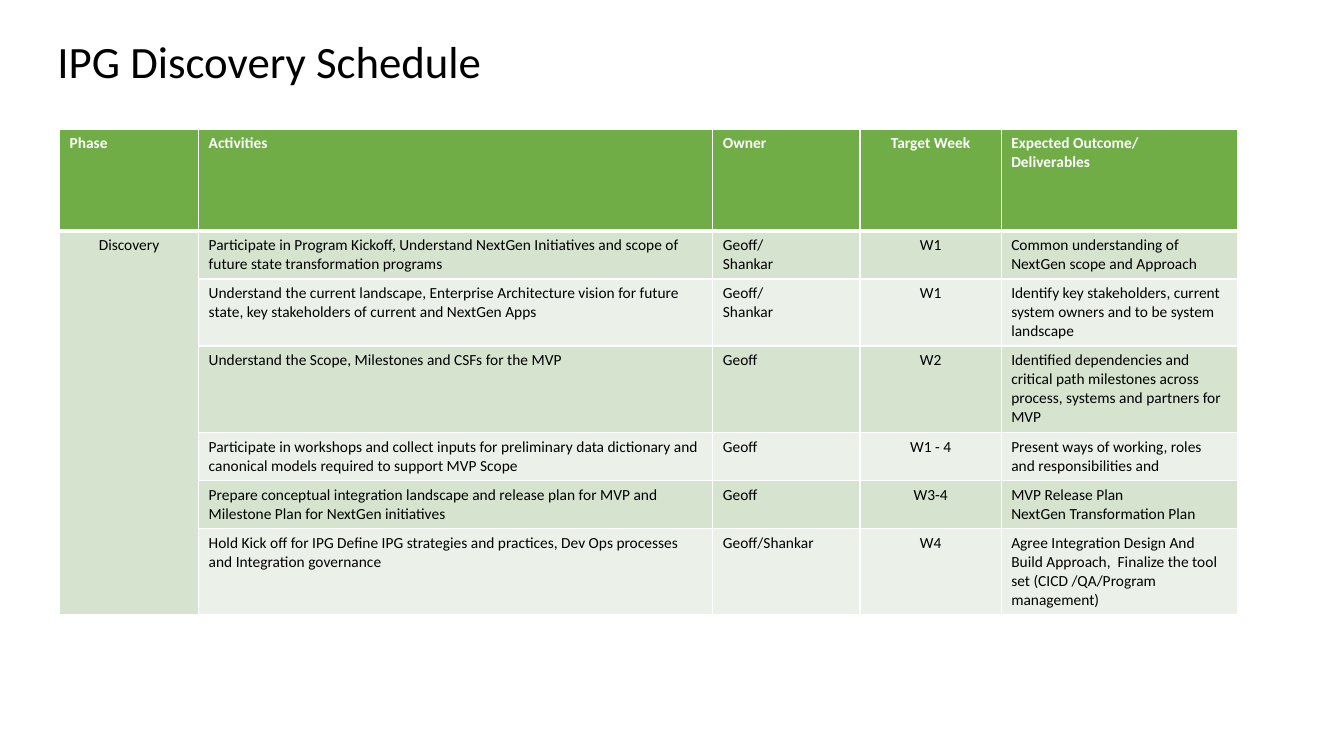
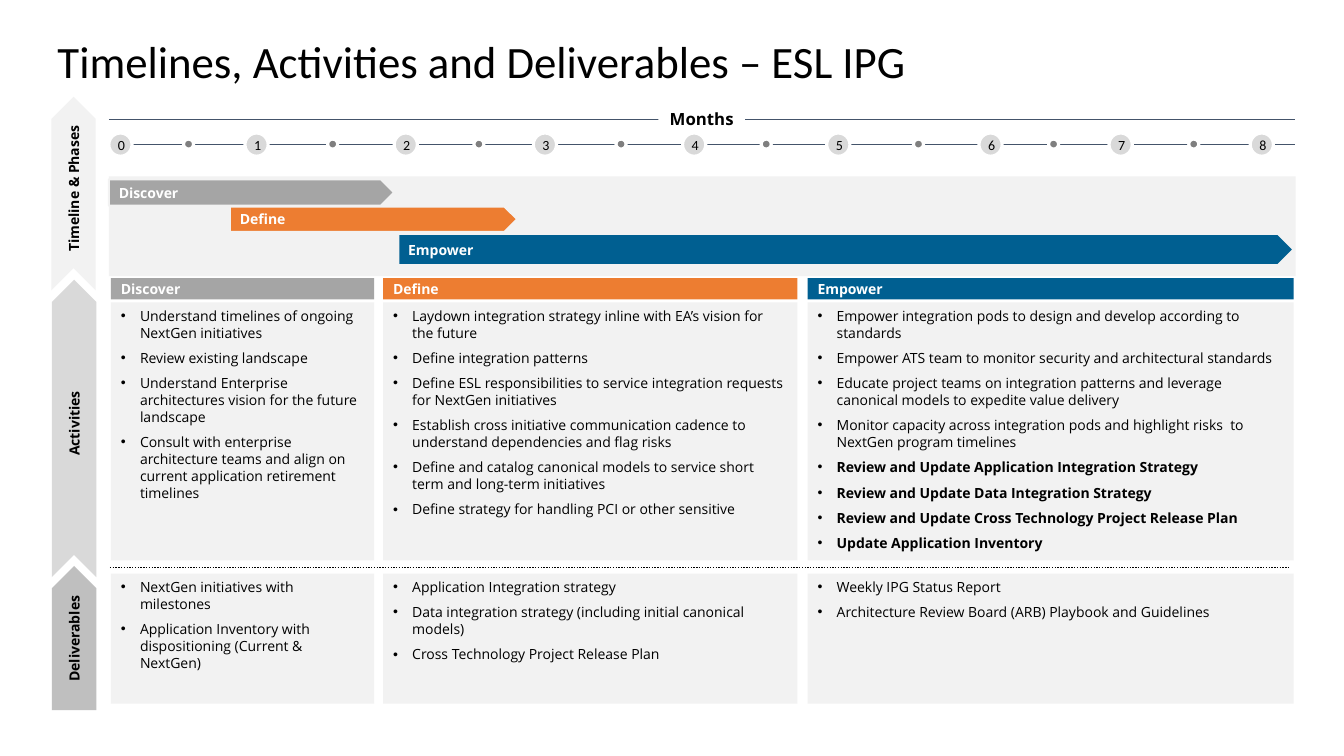
from dataclasses import dataclass

import pptx
import pptx.dml.color
import pptx.enum.dml
import pptx.enum.shapes
import pptx.enum.text
import pptx.oxml
import pptx.oxml.ns
import pptx.util
from lxml import etree
from pptx.util import Inches

SHAPE = pptx.enum.shapes.MSO_SHAPE
ALIGN = pptx.enum.text.PP_ALIGN
ANCHOR = pptx.enum.text.MSO_ANCHOR
color = pptx.dml.color.RGBColor.from_string
qn = pptx.oxml.ns.qn


@dataclass(frozen=True)
class Theme:
    title_font: str = "Calibri"
    body_font: str = "Open Sans"
    title_size: float = 32
    table_size: float = 11
    label_size: float = 10
    axis_size: float = 12
    black: str = "000000"
    white: str = "FFFFFF"
    green: str = "70AD47"
    bands: tuple = ("D5E3CF", "EBF1E9")
    panel: str = "F2F2F2"
    light_gray: str = "D9D9D9"
    mid_gray: str = "BFBFBF"
    dot_gray: str = "7F7F7F"
    axis: str = "44546A"
    discover: str = "A5A5A5"
    define: str = "ED7D31"
    empower: str = "005F91"


class Deck:
    """Holds the theme, the presentation and the slide being built."""

    def __init__(self, theme):
        self.theme = theme
        self.presentation = pptx.Presentation()
        self.presentation.slide_width = Inches(13.33)
        self.presentation.slide_height = Inches(7.5)
        self.slide = None

    def set_font(self, paragraph, size, fill, bold=False, name=None):
        font = paragraph.font
        font.name = name or self.theme.body_font
        font.size = pptx.util.Pt(size)
        font.bold = bold
        font.color.rgb = color(fill)

    def add_slide(self, title):
        layout = self.presentation.slide_layouts[5]
        self.slide = self.presentation.slides.add_slide(layout)
        shape = self.slide.shapes.title
        shape.left, shape.top = Inches(0.47), Inches(-0.09)
        shape.width, shape.height = Inches(12.04), Inches(1.45)
        frame = shape.text_frame
        frame.text = title
        frame.auto_size = pptx.enum.text.MSO_AUTO_SIZE.NONE
        frame.vertical_anchor = ANCHOR.MIDDLE
        paragraph = frame.paragraphs[0]
        paragraph.alignment = ALIGN.LEFT
        paragraph.line_spacing = 0.9
        self.set_font(paragraph, self.theme.title_size, self.theme.black,
                      name=self.theme.title_font)

    def shape(self, kind, left, top, width, height, fill, line=None, line_width=1.5):
        shape = self.slide.shapes.add_shape(
            kind, Inches(left), Inches(top), Inches(width), Inches(height))
        shape.shadow.inherit = False
        shape.fill.solid()
        shape.fill.fore_color.rgb = color(fill)
        if line:
            shape.line.color.rgb = color(line)
            shape.line.width = pptx.util.Pt(line_width)
        else:
            shape.line.fill.background()
        return shape

    def label(self, shape, text, fill, align=ALIGN.LEFT, size=None, bold=True,
              name=None, inset=0.1):
        """Put one centred-height line of text inside a shape."""
        frame = shape.text_frame
        frame.text = text
        frame.vertical_anchor = ANCHOR.MIDDLE
        frame.margin_left = Inches(inset)
        frame.margin_top = frame.margin_right = frame.margin_bottom = 0
        paragraph = frame.paragraphs[0]
        paragraph.alignment = align
        self.set_font(paragraph, size or self.theme.label_size, fill, bold, name)

    def bullet_panel(self, left, top, width, height, items, bold_items=()):
        frame = self.shape(SHAPE.RECTANGLE, left, top, width, height,
                           self.theme.panel).text_frame
        frame.vertical_anchor = ANCHOR.TOP
        frame.text = "\n".join([*items, *bold_items])
        for index, paragraph in enumerate(frame.paragraphs):
            paragraph.alignment = ALIGN.LEFT
            paragraph.space_after = pptx.util.Pt(6)
            properties = paragraph._p.get_or_add_pPr()
            properties.set("marL", str(Inches(0.19)))
            properties.set("indent", str(Inches(-0.19)))
            etree.SubElement(properties, qn("a:buFont"), typeface="Arial")
            etree.SubElement(properties, qn("a:buChar"), char="•")
            self.set_font(paragraph, self.theme.label_size, self.theme.black,
                          bold=index >= len(items))

    def rule(self, left, right, y, fill, width, dash=None):
        line = self.slide.shapes.add_connector(
            pptx.enum.shapes.MSO_CONNECTOR.STRAIGHT,
            Inches(left), Inches(y), Inches(right), Inches(y))
        line.line.color.rgb = color(fill)
        line.line.width = pptx.util.Pt(width)
        if dash:
            line.line.dash_style = dash
        etree.SubElement(line._element.spPr, qn("a:effectLst"))

    def cell_borders(self, cell, bottom):
        properties = cell._tc.get_or_add_tcPr()
        for side, width in (("L", 1), ("R", 1), ("T", 1), ("B", bottom)):
            border = etree.SubElement(properties, qn(f"a:ln{side}"),
                                      w=str(pptx.util.Pt(width)))
            solid = etree.SubElement(border, qn("a:solidFill"))
            etree.SubElement(solid, qn("a:srgbClr"), val=self.theme.white)

    def table(self, left, top, column_widths, row_heights, rows, centred):
        table = self.slide.shapes.add_table(
            len(rows), len(column_widths), Inches(left), Inches(top),
            Inches(sum(column_widths)), Inches(sum(row_heights))).table
        for column, width in zip(table.columns, column_widths):
            column.width = Inches(width)
        for row, height in zip(table.rows, row_heights):
            row.height = Inches(height)
        for row_index, texts in enumerate(rows):
            header = row_index == 0
            fill = self.theme.green if header else self.theme.bands[(row_index - 1) % 2]
            for column_index, text in enumerate(texts):
                cell = table.cell(row_index, column_index)
                self.cell_borders(cell, 3 if header else 1)
                cell.fill.solid()
                cell.fill.fore_color.rgb = color(fill)
                cell.text = text
                for paragraph in cell.text_frame.paragraphs:
                    if (header, column_index) in centred:
                        paragraph.alignment = ALIGN.CENTER
                    self.set_font(paragraph, self.theme.table_size,
                                  self.theme.white if header else self.theme.black,
                                  header, self.theme.title_font)
        return table


SCHEDULE = [
    ("Phase", "Activities", "Owner", "Target Week", "Expected Outcome/\nDeliverables"),
    ("Discovery",
     "Participate in Program Kickoff, Understand NextGen Initiatives and scope of future state transformation programs",
     "Geoff/\nShankar", "W1", "Common understanding of NextGen scope and Approach"),
    ("",
     "Understand the current landscape, Enterprise Architecture vision for future state, key stakeholders of current and NextGen Apps",
     "Geoff/\nShankar", "W1",
     "Identify key stakeholders, current system owners and to be system landscape"),
    ("", "Understand the Scope, Milestones and CSFs for the MVP", "Geoff", "W2",
     "Identified dependencies and critical path milestones across process, systems and partners for MVP"),
    ("",
     "Participate in workshops and collect inputs for preliminary data dictionary and canonical models required to support MVP Scope",
     "Geoff", "W1 - 4", "Present ways of working, roles and responsibilities and"),
    ("",
     "Prepare conceptual integration landscape and release plan for MVP and Milestone Plan for NextGen initiatives",
     "Geoff", "W3-4", "MVP Release Plan\nNextGen Transformation Plan"),
    ("",
     "Hold Kick off for IPG Define IPG strategies and practices, Dev Ops processes and Integration governance",
     "Geoff/Shankar", "W4",
     "Agree Integration Design And Build Approach,  Finalize the tool set (CICD /QA/Program management)"),
]


@dataclass(frozen=True)
class Phase:
    name: str
    fill: str
    arrow: tuple  # left, top, width, height
    left: float
    width: float
    activities: tuple
    deliverables: tuple
    key_activities: tuple = ()


PHASES = [
    Phase("Discover", Theme.discover, (1.08, 1.78, 2.83, 0.26), 1.1, 2.61,
          ("Understand timelines of ongoing NextGen initiatives",
           "Review existing landscape",
           "Understand Enterprise architectures vision for the future landscape",
           "Consult with enterprise architecture teams and align on current application retirement timelines"),
          ("NextGen initiatives with milestones",
           "Application Inventory with dispositioning (Current & NextGen)")),
    Phase("Define", Theme.define, (2.28, 2.05, 2.85, 0.25), 3.8, 4.11,
          ("Laydown integration strategy inline with EA’s vision for the future",
           "Define integration patterns",
           "Define ESL responsibilities to service integration requests for NextGen initiatives",
           "Establish cross initiative communication cadence to understand dependencies and flag risks",
           "Define and catalog canonical models to service short term and long-term initiatives",
           "Define strategy for handling PCI or other sensitive"),
          ("Application Integration strategy",
           "Data integration strategy (including initial canonical models)",
           "Cross Technology Project Release Plan")),
    Phase("Empower", Theme.empower, (3.95, 2.32, 8.88, 0.31), 8.01, 4.82,
          ("Empower integration pods to design and develop according to standards",
           "Empower ATS team to monitor security and architectural standards",
           "Educate project teams on integration patterns and leverage canonical models to expedite value delivery",
           "Monitor capacity across integration pods and highlight risks  to NextGen program timelines"),
          ("Weekly IPG Status Report",
           "Architecture Review Board (ARB) Playbook and Guidelines"),
          ("Review and Update Application Integration Strategy",
           "Review and Update Data Integration Strategy",
           "Review and Update Cross Technology Project Release Plan",
           "Update Application Inventory")),
]


def build_schedule(deck):
    deck.add_slide("IPG Discovery Schedule")
    table = deck.table(0.59, 1.28, [1.38, 5.1, 1.46, 1.4, 2.34], [1.01] + [0.41] * 6,
                       SCHEDULE, centred={(True, 3), (False, 3), (False, 0)})
    table.cell(1, 0).merge(table.cell(len(SCHEDULE) - 1, 0))


def build_month_axis(deck):
    theme = deck.theme
    for y in (1.18, 1.43):
        deck.rule(1.08, 12.84, y, theme.axis, 0.5)
    heading = deck.shape(SHAPE.RECTANGLE, 6.53, 1.08, 0.86, 0.2, theme.white)
    deck.label(heading, "Months", theme.black, ALIGN.CENTER, theme.axis_size, inset=0)
    for month, left in enumerate((1.08, 2.43, 3.91, 5.29, 6.77, 8.2, 9.71, 11, 12.4)):
        circle = deck.shape(SHAPE.OVAL, left, 1.32, 0.23, 0.23, theme.light_gray,
                            theme.white, 2.25)
        deck.label(circle, str(month), theme.black, ALIGN.CENTER, bold=False,
                   name=theme.title_font, inset=0.02)
    for left in (1.82, 3.25, 4.7, 6.11, 7.55, 9.06, 10.4, 11.79):
        deck.shape(SHAPE.OVAL, left, 1.38, 0.1, 0.1, theme.dot_gray, theme.white, 2.25)


def build_timeline(deck):
    theme = deck.theme
    deck.add_slide("Timelines, Activities and Deliverables – ESL IPG")
    for text, kind, left, top, length, fill in (
            ("Timeline & Phases", SHAPE.CHEVRON, -0.23, 1.7, 1.92, theme.panel),
            ("Activities", SHAPE.CHEVRON, -0.74, 4.03, 2.95, theme.light_gray),
            ("Deliverables", SHAPE.PENTAGON, 0.02, 6.11, 1.43, theme.mid_gray)):
        marker = deck.shape(kind, left, top, length, 0.44, fill)
        marker.rotation = 270
        deck.label(marker, text, theme.black, ALIGN.CENTER)
    build_month_axis(deck)
    deck.shape(SHAPE.RECTANGLE, 1.08, 1.75, 11.77, 0.99, theme.panel)
    for phase in PHASES:
        arrow = deck.shape(SHAPE.PENTAGON, *phase.arrow, phase.fill, theme.panel)
        header = deck.shape(SHAPE.RECTANGLE, phase.left, 2.76, phase.width, 0.21, phase.fill)
        for shape in (arrow, header):
            deck.label(shape, phase.name, theme.white)
        deck.bullet_panel(phase.left, 3, phase.width, 2.56, phase.activities,
                          phase.key_activities)
        deck.bullet_panel(phase.left, 5.69, phase.width, 1.29, phase.deliverables)
    deck.rule(1.09, 12.8, 5.63, theme.black, 1, pptx.enum.dml.MSO_LINE.ROUND_DOT)


def main():
    deck = Deck(Theme())
    build_schedule(deck)
    build_timeline(deck)
    deck.presentation.save("out.pptx")


if __name__ == "__main__":
    main()
